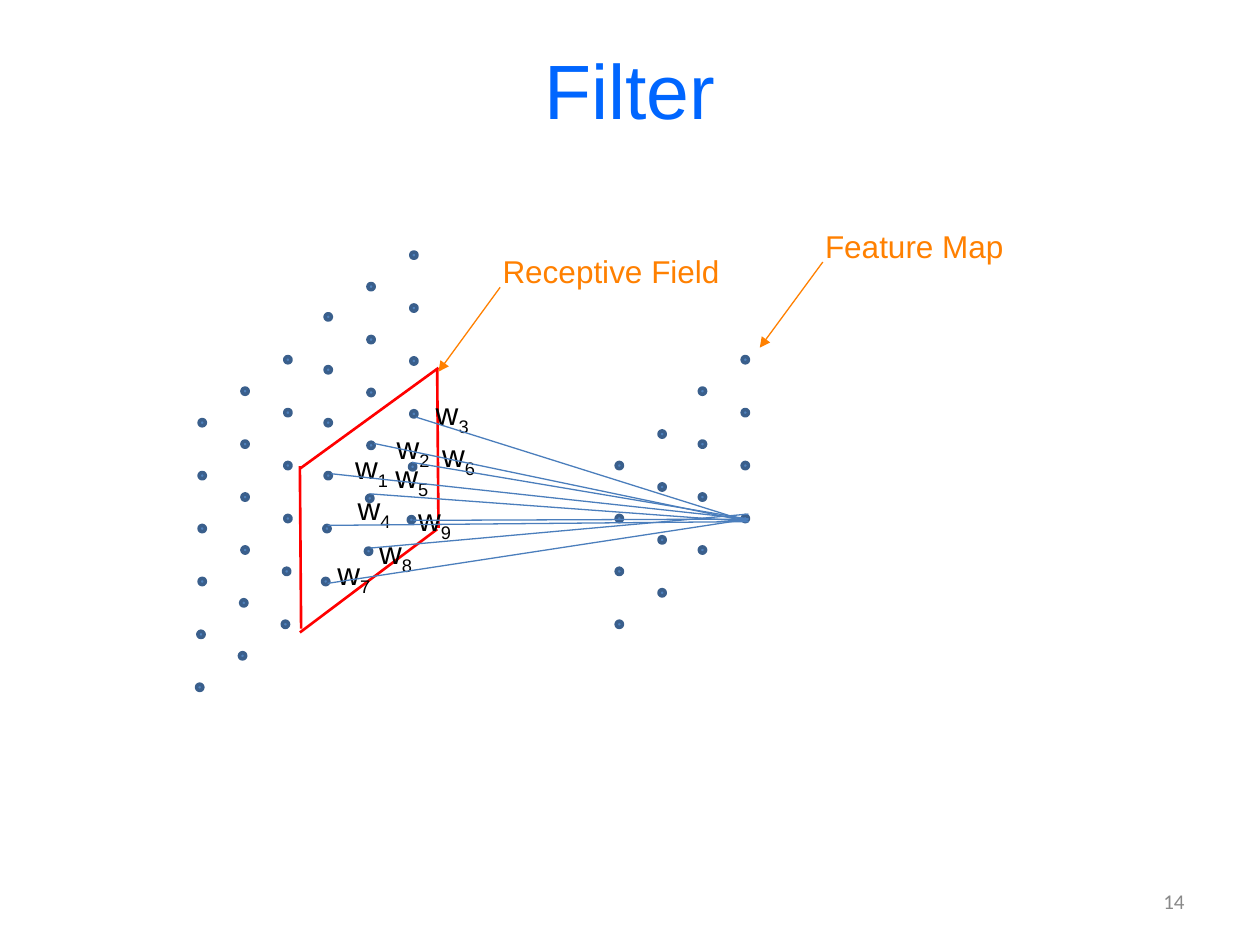
import pptx
import pptx.util
import pptx.dml.color
import pptx.enum.shapes
import pptx.enum.text
import pptx.oxml.ns
from lxml import etree

Inches = pptx.util.Inches
Pt = pptx.util.Pt
Align = pptx.enum.text.PP_ALIGN
qn = pptx.oxml.ns.qn
Rgb = pptx.dml.color.RGBColor.from_string

hues = {
    "title": "0066FF", "page": "898989", "text": "000000",
    "dot": "4F81BD", "rim": "3A5F8C", "field": "FF0000",
    "link": "4B7EBC", "note": "FF8000",
}

deck = pptx.Presentation()
deck.slide_width, deck.slide_height = Inches(10), Inches(7.5)
slide = deck.slides.add_slide(deck.slide_layouts[6])
shapes = slide.shapes


def write(text, box, size, hue, font="Arial", align=Align.LEFT, sub="", wrap=False):
    area = shapes.add_textbox(*map(Inches, box))
    frame = area.text_frame
    frame.word_wrap = wrap
    if wrap:
        frame.vertical_anchor = pptx.enum.text.MSO_ANCHOR.MIDDLE
    else:
        frame.auto_size = pptx.enum.text.MSO_AUTO_SIZE.SHAPE_TO_FIT_TEXT
    para = frame.paragraphs[0]
    para.alignment = align
    para.font.size, para.font.name = Pt(size), font
    para.font.color.rgb = Rgb(hues[hue])
    para.add_run().text = text
    if sub:
        low = para.add_run()
        low.text = sub
        low._r.get_or_add_rPr().set("baseline", "-25000")


def draw(start, end, hue, width, arrow=False):
    line = shapes.add_connector(
        pptx.enum.shapes.MSO_CONNECTOR.STRAIGHT, *map(Inches, start + end))
    line.line.color.rgb = Rgb(hues[hue])
    line.line.width = Pt(width)
    if arrow:
        etree.SubElement(line.line._get_or_add_ln(), qn("a:tailEnd"), type="triangle")
    etree.SubElement(line._element.spPr, qn("a:effectLst"))


# Title and page number
write("Filter", (0.5, 0.08, 9, 1.25), 44, "title", align=Align.CENTER, wrap=True)
write("14", (7.17, 6.95, 2.33, 0.4), 12, "page", "Calibri", Align.RIGHT, wrap=True)

# Dots of the input and the feature map: top of each column, x shift of each row
step = 0.42
grids = [
    ([(1.58, 3.33), (1.92, 3.08), (2.26, 2.83), (2.58, 2.49), (2.92, 2.25), (3.26, 2)],
     [0, 0, 0, 0, -0.01, -0.02]),
    ([(4.89, 3.67), (5.23, 3.42), (5.55, 3.08), (5.89, 2.83)], [0] * 4),
]
for tops, shifts in grids:
    for left, top in tops:
        for row, shift in enumerate(shifts):
            dot = shapes.add_shape(
                pptx.enum.shapes.MSO_SHAPE.OVAL, Inches(left + shift),
                Inches(top + row * step), Inches(0.05), Inches(0.05))
            dot.shadow.inherit = False
            dot.fill.solid()
            dot.fill.fore_color.rgb = Rgb(hues["dot"])
            dot.line.color.rgb = Rgb(hues["rim"])
            dot.line.width = Pt(2)

# Outline of the receptive field
edges = [
    ((3.48, 2.92), (2.38, 3.72)), ((3.47, 4.2), (2.38, 5.02)),
    ((2.38, 3.7), (2.39, 4.99)), ((3.47, 2.93), (3.48, 4.19)),
]
for start, end in edges:
    draw(start, end, "field", 1.5)

# Weights w1 to w9
spots = [
    (2.72, 3.51), (3.05, 3.35), (3.36, 3.08),
    (2.74, 3.83), (3.04, 3.58), (3.41, 3.41),
    (2.58, 4.35), (2.91, 4.18), (3.22, 3.92),
]
for count, spot in enumerate(spots, 1):
    write("w", spot + (0.48, 0.4), 18, "text", sub=str(count))

# Links from the field to one feature map dot: start, and height of the end
links = [
    ((2.63, 3.76), 4.12), ((2.97, 3.52), 4.14), ((3.3, 3.31), 4.14),
    ((2.6, 4.17), 4.14), ((2.94, 3.92), 4.14), ((3.27, 3.67), 4.12),
    ((2.6, 4.63), 4.12), ((2.94, 4.35), 4.08), ((3.28, 4.13), 4.12),
]
for start, level in links:
    draw(start, (5.94, level), "link", 0.75)

# Notes with arrows
notes = [
    ("Receptive Field", (3.89, 1.95, 1.94, 0.4), (3.97, 2.28), (3.48, 2.95)),
    ("Feature Map", (6.45, 1.75, 1.63, 0.4), (6.53, 2.08), (6.03, 2.76)),
]
for text, box, start, end in notes:
    draw(start, end, "note", 0.75, arrow=True)
    write(text, box, 18, "note")

deck.save("out.pptx")
